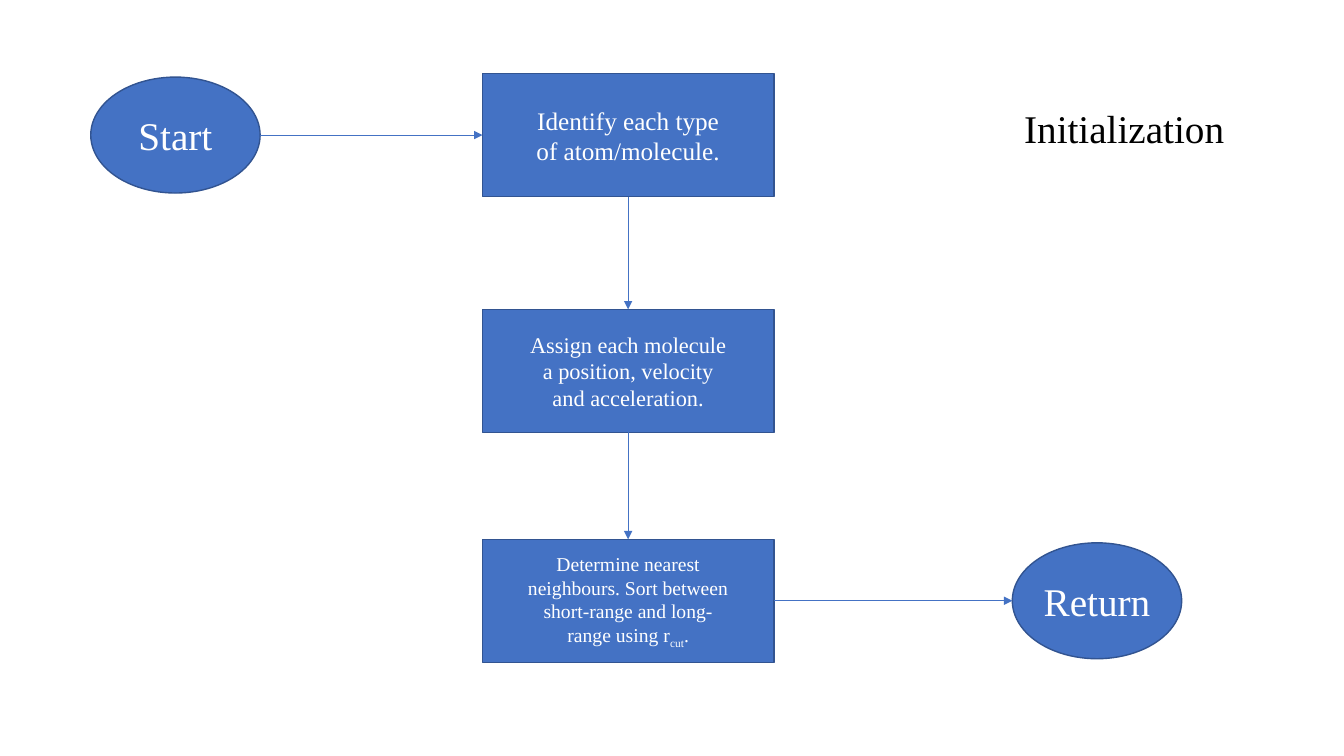
from pptx import Presentation
from pptx.dml.color import RGBColor
from pptx.enum.shapes import MSO_CONNECTOR, MSO_SHAPE
from pptx.enum.text import MSO_ANCHOR, MSO_AUTO_SIZE, PP_ALIGN
from pptx.oxml.ns import qn
from pptx.util import Inches, Pt
from lxml import etree

OVAL, RECT = MSO_SHAPE.OVAL, MSO_SHAPE.RECTANGLE
STRAIGHT = MSO_CONNECTOR.STRAIGHT
MIDDLE, CENTER = MSO_ANCHOR.MIDDLE, PP_ALIGN.CENTER
FIXED = MSO_AUTO_SIZE.NONE
TOP, LEFT, BOTTOM, RIGHT = range(4)

THEME = {
    "font": "Times New Roman",
    "fill": RGBColor(0x44, 0x72, 0xC4),
    "edge": RGBColor(0x32, 0x54, 0x91),
    "light": RGBColor(0xFF, 0xFF, 0xFF),
    "dark": RGBColor(0, 0, 0),
    "large": 28,
    "steps": (18, 16, 14),
}

# Grid: centres of the columns and rows, and the size of each kind of node
COLS = (1.74, 6.23, 10.88)
ROWS = (1.34, 3.68, 5.96)
SIZES = {OVAL: (1.68, 1.15), RECT: (2.89, 1.22)}
PADS = {OVAL: 0, RECT: 0.43}


def style(frame, size, color, pad):
    frame.auto_size = FIXED
    frame.vertical_anchor = MIDDLE
    frame.margin_left = frame.margin_right = Inches(pad)
    frame.margin_top = frame.margin_bottom = 0
    for par in frame.paragraphs:
        par.alignment = CENTER
        for run in par.runs:
            run.font.name = THEME["font"]
            run.font.size = Pt(size)
            run.font.color.rgb = color


deck = Presentation()
deck.slide_width, deck.slide_height = Inches(13.33), Inches(7.5)
slide = deck.slides.add_slide(deck.slide_layouts[5])

# Title
title = slide.shapes.title
title.left, title.top = Inches(10.04), Inches(0.98)
title.width, title.height = Inches(2.22), Inches(0.57)
title.text_frame.text = "Initialization"
style(title.text_frame, THEME["large"], THEME["dark"], 0.1)
title.text_frame.word_wrap = False

# Nodes: kind, column, row, type size, text
big, steps = THEME["large"], THEME["steps"]
nodes = (
    (OVAL, 0, 0, big, "Start"),
    (RECT, 1, 0, steps[0], "Identify each type of atom/molecule."),
    (RECT, 1, 1, steps[1],
     "Assign each molecule a position, velocity and acceleration."),
    (RECT, 1, 2, steps[2],
     "Determine nearest neighbours. Sort between short-range and "
     "long-range using r"),
    (OVAL, 2, 2, big, "Return"),
)
chain = []
for kind, col, row, size, text in nodes:
    wide, high = SIZES[kind]
    node = slide.shapes.add_shape(
        kind, Inches(COLS[col] - wide / 2), Inches(ROWS[row] - high / 2),
        Inches(wide), Inches(high))
    node.shadow.inherit = False
    node.fill.solid()
    node.fill.fore_color.rgb = THEME["fill"]
    node.line.color.rgb = THEME["edge"]
    node.line.width = Pt(1)
    frame = node.text_frame
    frame.text = text
    frame.word_wrap = kind == RECT
    # The cutoff radius carries a subscript
    if text.endswith(" r"):
        for part, base in (("cut", "-25000"), (".", "0")):
            run = frame.paragraphs[0].add_run()
            run.text = part
            run.font._element.set("baseline", base)
    style(frame, size, THEME["light"], PADS[kind])
    chain.append(node)

# Arrows between neighbours in the chain
sides = ((RIGHT, LEFT), (BOTTOM, TOP), (BOTTOM, TOP), (RIGHT, LEFT))
for start, end, (out, into) in zip(chain, chain[1:], sides):
    arrow = slide.shapes.add_connector(STRAIGHT, 0, 0, 0, 0)
    arrow.begin_connect(start, out)
    arrow.end_connect(end, into)
    # An oval has eight connection sites, a rectangle four
    for node, tag, side in ((start, "a:stCxn", out), (end, "a:endCxn", into)):
        if node.auto_shape_type == OVAL:
            site = next(arrow._element.iter(qn(tag)))
            site.set("idx", str(2 * side))
    arrow.line.color.rgb = THEME["fill"]
    arrow.line.width = Pt(0.5)
    props = arrow._element.spPr
    etree.SubElement(props.find(qn("a:ln")), qn("a:tailEnd"), type="triangle")
    etree.SubElement(props, qn("a:effectLst"))

deck.save("out.pptx")
